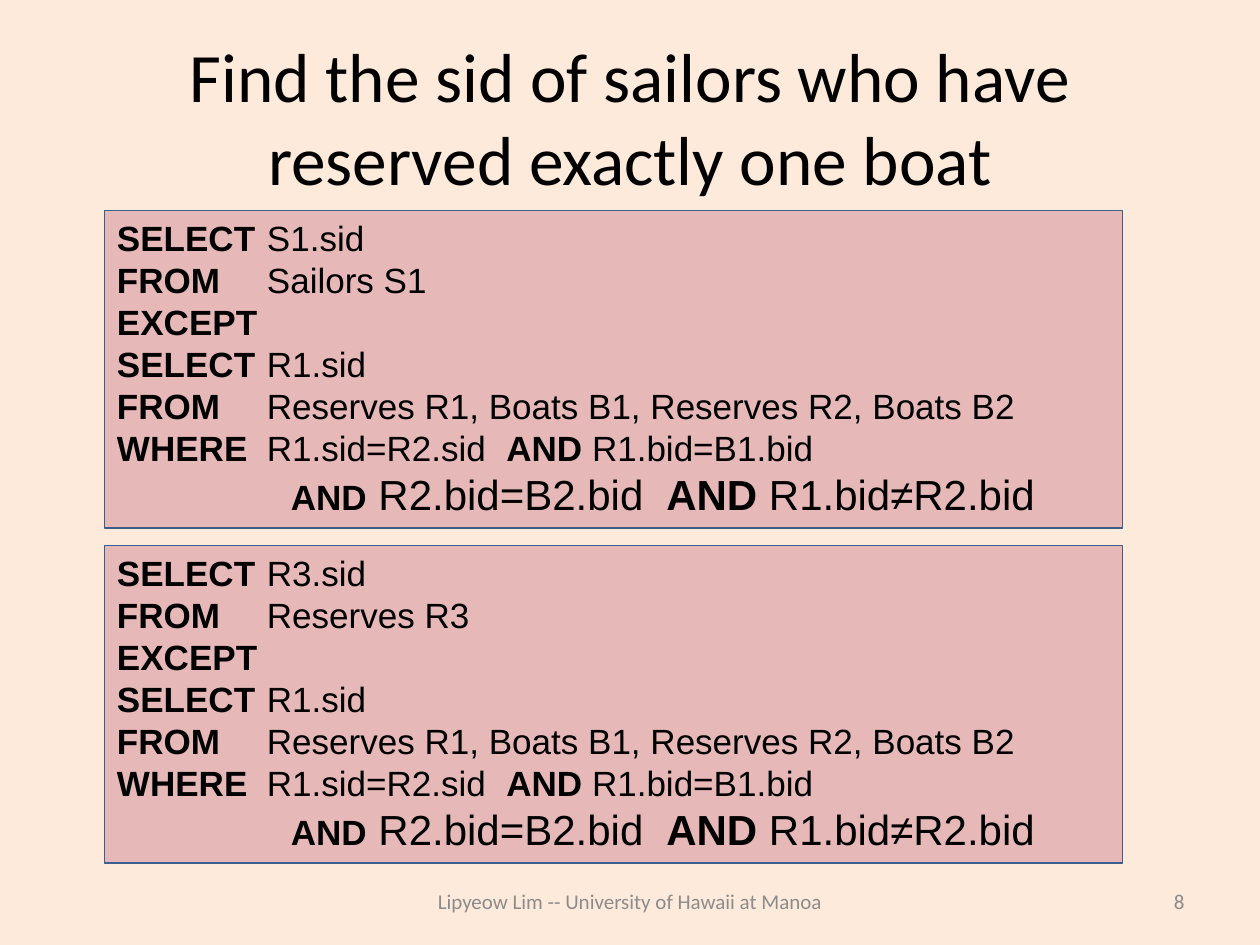
from lxml import etree
from pptx import Presentation
from pptx.dml.color import RGBColor
from pptx.enum.shapes import MSO_SHAPE
from pptx.enum.text import MSO_ANCHOR, MSO_AUTO_SIZE, PP_ALIGN
from pptx.oxml.ns import qn
from pptx.util import Inches, Pt

RECTANGLE = MSO_SHAPE.RECTANGLE
TOP, MIDDLE = MSO_ANCHOR.TOP, MSO_ANCHOR.MIDDLE
LEFT, CENTER, RIGHT = PP_ALIGN.LEFT, PP_ALIGN.CENTER, PP_ALIGN.RIGHT
NO_FIT, GROW = MSO_AUTO_SIZE.NONE, MSO_AUTO_SIZE.SHAPE_TO_FIT_TEXT

CLAUSE_STOPS = (1.19, 3.09)
CONDITION_STOPS = (1.38, 4.36)
CLAUSE_SIZE, CONDITION_SIZE = 20, 24

QUERY_SOURCES = (("S1", "Sailors"), ("R3", "Reserves"))
EXCLUDED_CLAUSES = (
    ("EXCEPT",),
    ("SELECT", "\tR1.sid"),
    ("FROM", "\tReserves R1, Boats B1, Reserves R2, Boats B2"),
    ("WHERE", "\tR1.sid=R2.sid\t", "AND", " R1.bid=B1.bid"),
)
CONDITION = ("\tAND", " R2.bid=B2.bid\t", "AND", " R1.bid≠R2.bid")


def color(value):
    """Turn a hex string into a colour."""
    return RGBColor.from_string(value)


def format_span(span, size, font, fill, bold=False):
    """Set the character format of one run."""
    span.font.size = Pt(size)
    span.font.name = font
    span.font.bold = bold
    span.font.color.rgb = color(fill)


def fill_label(box, text, size, fill, alignment):
    """Put one aligned Calibri paragraph in the middle of a box."""
    frame = box.text_frame
    frame.word_wrap = True
    frame.auto_size = NO_FIT
    frame.vertical_anchor = MIDDLE
    frame.text = text
    para = frame.paragraphs[0]
    para.alignment = alignment
    format_span(para.runs[0], size, "Calibri", fill)


def add_title(slide, text):
    """Place and fill the title placeholder."""
    title = slide.shapes.title
    title.left, title.top = Inches(0.5), Inches(0.3)
    title.width, title.height = Inches(9), Inches(1.25)
    fill_label(title, text, 39.6, "000000", CENTER)


def add_footer(slide, left, width, text, fill, alignment):
    """Add a text box on the footer line."""
    box = slide.shapes.add_textbox(
        Inches(left), Inches(6.95), Inches(width), Inches(0.4))
    fill_label(box, text, 12, fill, alignment)


def set_tab_stops(para, stops):
    """Give a paragraph left tab stops, in inches."""
    tab_list = etree.SubElement(para._p.get_or_add_pPr(), qn("a:tabLst"))
    for stop in stops:
        etree.SubElement(tab_list, qn("a:tab"), pos=str(Inches(stop)), algn="l")


def fill_query_line(para, parts, stops, sizes):
    """Write alternating bold keywords and plain operands."""
    para.alignment = LEFT
    set_tab_stops(para, stops)
    for index, (part, size) in enumerate(zip(parts, sizes)):
        span = para.add_run()
        span.text = part
        format_span(span, size, "Arial", "000000", bold=index % 2 == 0)


def add_query(slide, top, alias, table):
    """Add a box with one SQL query."""
    box = slide.shapes.add_shape(
        RECTANGLE, Inches(0.83), Inches(top), Inches(8.08), Inches(2.52))
    box.shadow.inherit = False
    box.fill.solid()
    box.fill.fore_color.rgb = color("E6B9B8")
    box.line.color.rgb = color("3A5F8C")
    box.line.width = Pt(0.75)
    frame = box.text_frame
    frame.word_wrap = True
    frame.auto_size = GROW
    frame.vertical_anchor = TOP
    clauses = (("SELECT", f"\t{alias}.sid"), ("FROM", f"\t{table} {alias}"))
    para = frame.paragraphs[0]
    for parts in clauses + EXCLUDED_CLAUSES:
        fill_query_line(para, parts, CLAUSE_STOPS, [CLAUSE_SIZE] * len(parts))
        para = frame.add_paragraph()
    fill_query_line(para, CONDITION, CONDITION_STOPS,
                    [CLAUSE_SIZE] + [CONDITION_SIZE] * 3)


def main():
    """Build the slide and save the deck."""
    deck = Presentation()
    deck.slide_width, deck.slide_height = Inches(10), Inches(7.5)
    slide = deck.slides.add_slide(deck.slide_layouts[5])
    slide.background.fill.solid()
    slide.background.fill.fore_color.rgb = color("FDEADA")
    add_title(slide, "Find the sid of sailors who have reserved exactly one boat")
    add_footer(slide, 3, 4, "Lipyeow Lim -- University of Hawaii at Manoa",
               "8C8C8C", CENTER)
    add_footer(slide, 7.17, 2.33, "8", "898989", RIGHT)
    for index, (alias, table) in enumerate(QUERY_SOURCES):
        add_query(slide, 1.67 + index * 2.66, alias, table)
    deck.save("out.pptx")


if __name__ == "__main__":
    main()
